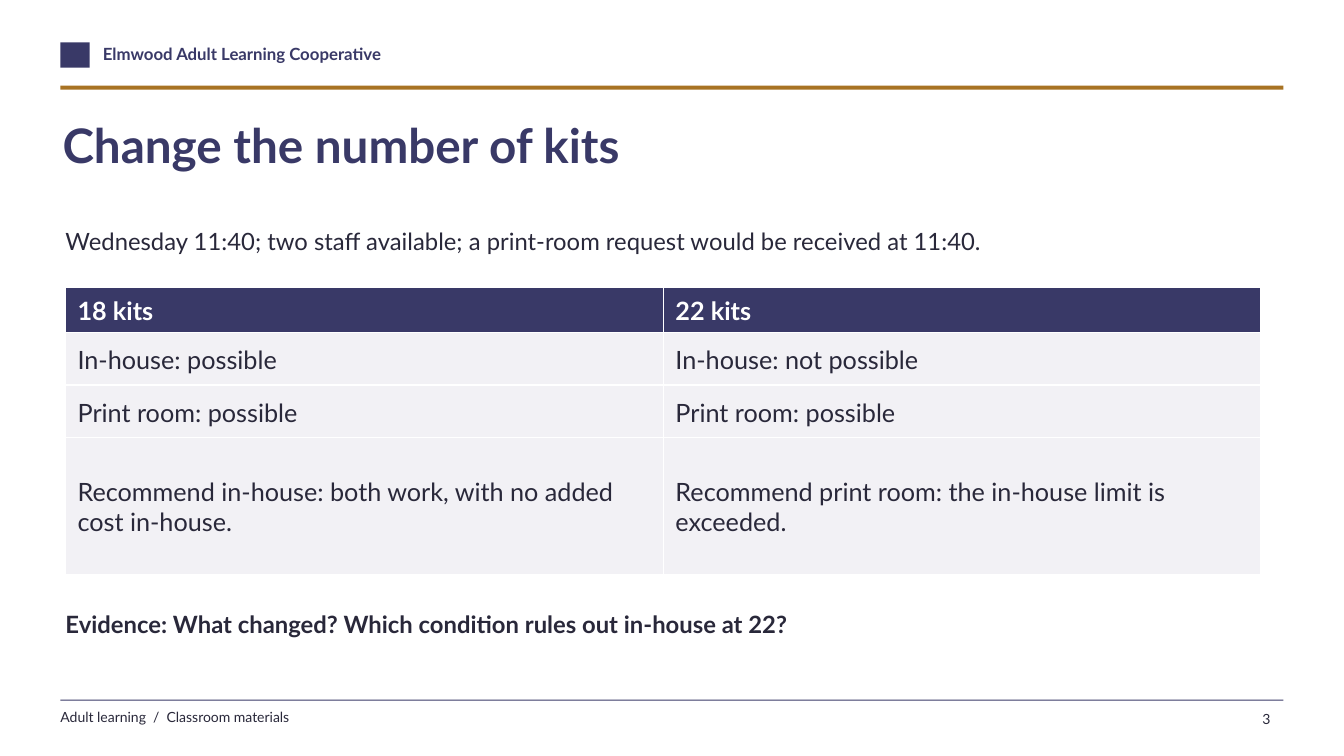
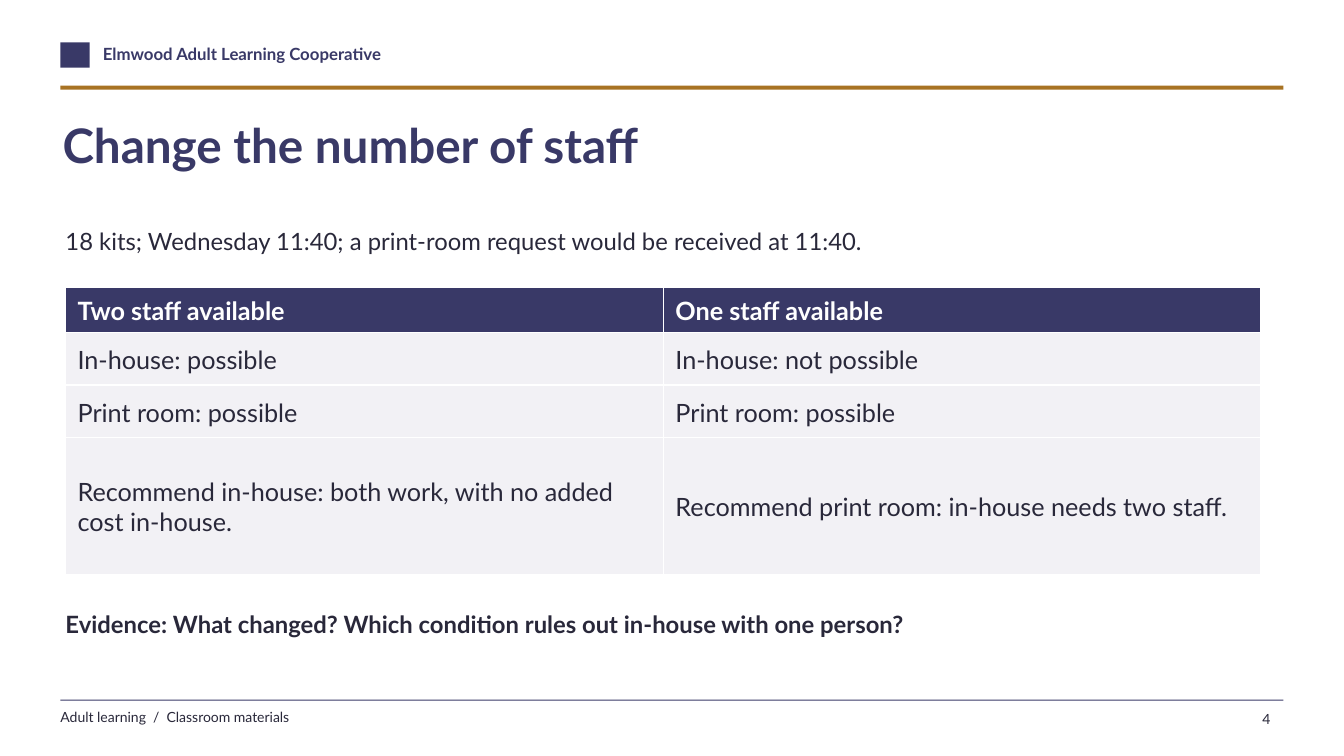
"""Build two classroom slides that compare in-house and print-room copying."""
from pptx import Presentation
from pptx.dml.color import RGBColor
from pptx.enum.shapes import MSO_SHAPE
from pptx.enum.text import MSO_ANCHOR, MSO_AUTO_SIZE, PP_ALIGN
from pptx.util import Pt

PX = 9144
FONT = "Lato"
COLORS = {"indigo": "393967", "ochre": "A87323", "ink": "29283A",
          "pale": "F2F1F5", "white": "FFFFFF"}

STYLES = {
    "brand": ("indigo", {"size": Pt(12), "bold": True}),
    "title": ("indigo", {"size": Pt(34), "bold": True}),
    "body": ("ink", {"size": Pt(17), "bold": False}),
    "question": ("ink", {"size": Pt(17), "bold": True}),
    "head": ("white", {"size": Pt(18), "bold": True}),
    "cell": ("ink", {"size": Pt(18), "bold": False}),
    "small": ("ink", {"size": Pt(10), "bold": False}),
}

BANDS = [
    ("indigo", (60, 42, 29, 25)),
    ("ochre", (60, 85, 1213, 4)),
    ("indigo", (60, 694, 1213, 1)),
]
LABELS = [
    ("Elmwood Adult Learning Cooperative", "brand", (102, 43, 600, 28)),
    ("Adult learning  /  Classroom materials", "small", (60, 703, 700, 23)),
]
BOXES = {
    "title": (62, 115, 1200, 105),
    "premise": (65, 225, 1190, 48),
    "table": (65, 285, 1185, 285),
    "question": (65, 605, 1190, 65),
    "number": (1210, 705, 50, 25),
}
COL_WIDTHS = (593, 592)
ROW_HEIGHTS = (45, 52, 52, 136)
CELL_FORMAT = {"margin_left": 12 * PX, "margin_right": 12 * PX,
               "margin_top": 8 * PX, "margin_bottom": 6 * PX,
               "vertical_anchor": MSO_ANCHOR.MIDDLE}
FRAME_FORMAT = {"margin_left": 0, "margin_right": 0, "margin_top": 0,
                "margin_bottom": 0, "word_wrap": True,
                "auto_size": MSO_AUTO_SIZE.NONE,
                "vertical_anchor": MSO_ANCHOR.TOP}

OUTCOMES = [
    ("In-house: possible", "In-house: not possible"),
    ("Print room: possible", "Print room: possible"),
]
IN_HOUSE = "Recommend in-house: both work, with no added cost in-house."
SLIDES = [
    {
        "number": "3",
        "title": "Change the number of kits",
        "premise": "Wednesday 11:40; two staff available; "
                   "a print-room request would be received at 11:40.",
        "rows": [("18 kits", "22 kits"), *OUTCOMES,
                 (IN_HOUSE, "Recommend print room: the in-house limit is exceeded.")],
        "question": "Evidence: What changed? Which condition rules out in-house at 22?",
    },
    {
        "number": "4",
        "title": "Change the number of staff",
        "premise": "18 kits; Wednesday 11:40; "
                   "a print-room request would be received at 11:40.",
        "rows": [("Two staff available", "One staff available"), *OUTCOMES,
                 (IN_HOUSE, "Recommend print room: in-house needs two staff.")],
        "question": "Evidence: What changed? Which condition rules out in-house with one person?",
    },
]


def emu(box):
    return [v * PX for v in box]


def rgb(name):
    return RGBColor.from_string(COLORS[name])


def apply(target, values):
    for name, value in values.items():
        setattr(target, name, value)


def write(tf, text, style, align=PP_ALIGN.LEFT):
    color, values = STYLES[style]
    p = tf.paragraphs[0]
    p.alignment = align
    r = p.add_run()
    r.text = text
    apply(r.font, {"name": FONT, **values})
    r.font.color.rgb = rgb(color)


def add_text(s, text, style, box, align=PP_ALIGN.LEFT):
    sp = s.shapes.add_textbox(*emu(box))
    apply(sp.text_frame, FRAME_FORMAT)
    write(sp.text_frame, text, style, align)
    return sp


def add_band(s, color, box):
    sp = s.shapes.add_shape(MSO_SHAPE.RECTANGLE, *emu(box))
    sp.shadow.inherit = False
    sp.fill.solid()
    sp.fill.fore_color.rgb = rgb(color)
    sp.line.fill.background()
    return sp


def share_frame(s):
    parts = [add_band(s, *band) for band in BANDS]
    parts += [add_text(s, *label) for label in LABELS]
    for sp in parts:
        s.slide_layout.shapes.element.append(sp.element)


def add_title(s, text):
    sp = s.shapes.title
    apply(sp, dict(zip(("left", "top", "width", "height"), emu(BOXES["title"]))))
    apply(sp.text_frame, FRAME_FORMAT)
    write(sp.text_frame, text, "title")


def add_comparison(s, rows):
    table = s.shapes.add_table(len(rows), len(COL_WIDTHS), *emu(BOXES["table"])).table
    table.horz_banding = False
    for col, width in zip(table.columns, COL_WIDTHS):
        col.width = width * PX
    for i, (texts, height) in enumerate(zip(rows, ROW_HEIGHTS)):
        table.rows[i].height = height * PX
        fill, style = ("pale", "cell") if i else ("indigo", "head")
        for j, text in enumerate(texts):
            cell = table.cell(i, j)
            apply(cell, CELL_FORMAT)
            cell.fill.solid()
            cell.fill.fore_color.rgb = rgb(fill)
            write(cell.text_frame, text, style)


def main():
    prs = Presentation()
    prs.slide_width, prs.slide_height = emu((1333, 750))
    layout = prs.slide_layouts[5]
    for i, content in enumerate(SLIDES):
        s = prs.slides.add_slide(layout)
        if i == 0:
            share_frame(s)
        add_title(s, content["title"])
        add_text(s, content["premise"], "body", BOXES["premise"])
        add_comparison(s, content["rows"])
        add_text(s, content["question"], "question", BOXES["question"])
        add_text(s, content["number"], "small", BOXES["number"], PP_ALIGN.RIGHT)
    prs.save("out.pptx")


if __name__ == "__main__":
    main()
